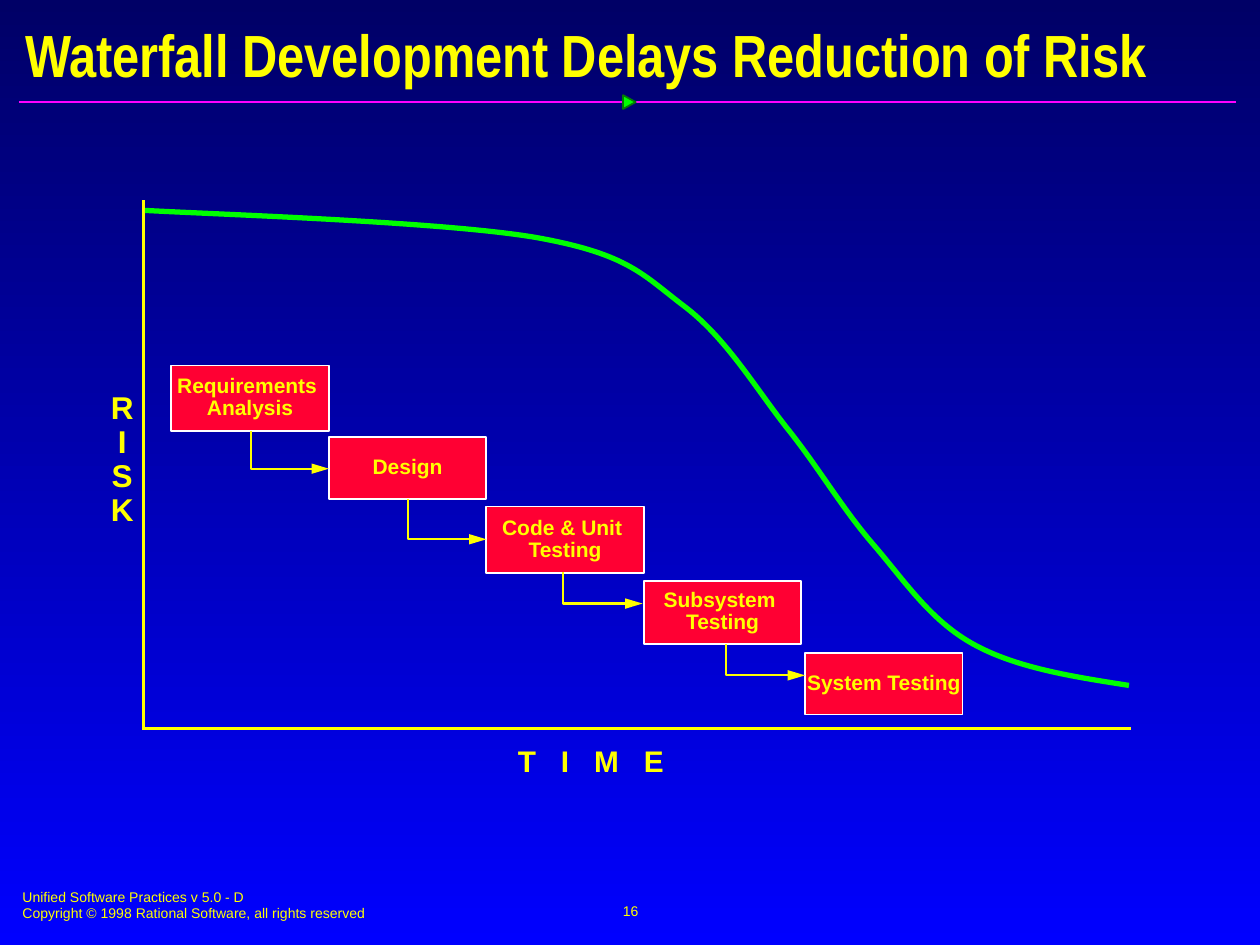
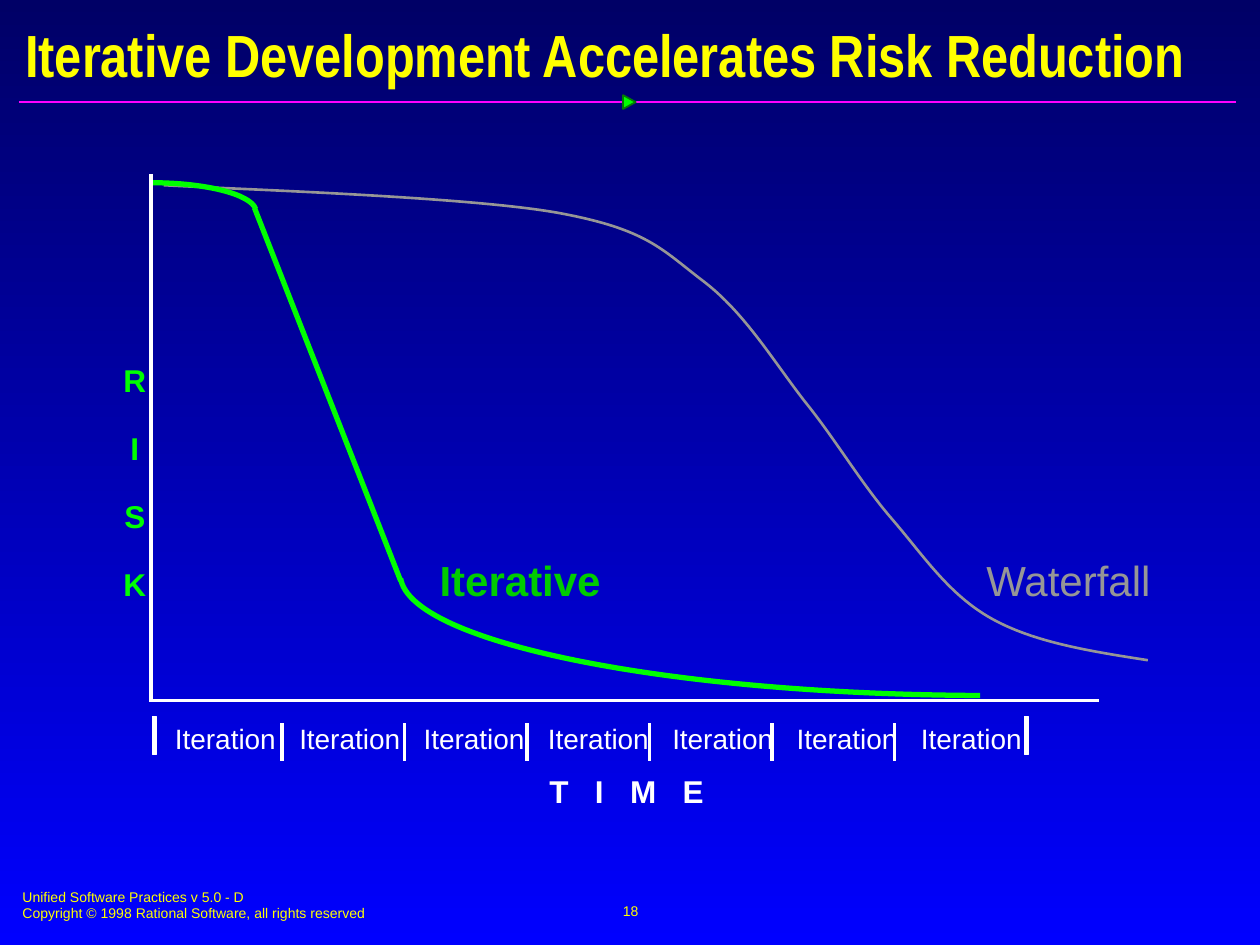
from pptx import Presentation
from pptx.dml.color import RGBColor
from pptx.enum.shapes import MSO_CONNECTOR, MSO_SHAPE
from pptx.enum.text import MSO_ANCHOR, MSO_AUTO_SIZE, PP_ALIGN
from pptx.oxml.ns import qn
from pptx.util import Inches, Pt
from lxml import etree

# Slide size and a square grid of 10 columns by 7.5 rows
WIDE, HIGH = Inches(10), Inches(7.5)
COLS = 10
CELL = WIDE / COLS

# Colours
NAVY = RGBColor(0x00, 0x00, 0x66)
BLUE = RGBColor(0x00, 0x00, 0xFF)
YELLOW = RGBColor(0xFF, 0xFF, 0x00)
PINK = RGBColor(0xFF, 0x01, 0xFF)
GREEN = RGBColor(0x00, 0xFF, 0x00)
LEAF = RGBColor(0x00, 0xCC, 0x00)
MOSS = RGBColor(0x03, 0x7C, 0x03)
RED = RGBColor(0xFF, 0x00, 0x33)
WHITE = RGBColor(0xFF, 0xFF, 0xFF)
GREY = RGBColor(0x96, 0x96, 0x96)

FOOTER = "Unified Software Practices v 5.0 - D\nCopyright © 1998 Rational Software, all rights reserved"

# Phases: label, left, top, height
PHASES = [
    ("Requirements \nAnalysis", 1.36, 2.9, 0.52),
    ("Design", 2.61, 3.47, 0.49),
    ("Code & Unit \nTesting", 3.86, 4.02, 0.53),
    ("Subsystem \nTesting", 5.11, 4.61, 0.5),
    ("System Testing", 6.39, 5.18, 0.49),
]
PHASE_W = 1.25
# Arrows between phases: start, end
ARROWS = [
    ((1.99, 3.42), (2.61, 3.72)),
    ((3.24, 3.96), (3.86, 4.28)),
    ((4.47, 4.54), (5.1, 4.79)),
    ((5.76, 5.11), (6.39, 5.36)),
]

# Bezier knots: a start, then two handles and an end for each bend
FALL = [
    (1.15, 1.67), (1.67, 1.7), (3.56, 1.76), (4.28, 1.89),
    (4.99, 2.02), (5.1, 2.18), (5.43, 2.43),
    (5.76, 2.68), (5.99, 3.07), (6.24, 3.39),
    (6.49, 3.7), (6.68, 4.03), (6.93, 4.32),
    (7.18, 4.61), (7.38, 4.92), (7.72, 5.11),
    (8.06, 5.3), (8.51, 5.37), (8.96, 5.44),
]
CREST = [(1.2, 1.45), (1.63, 1.45), (1.99, 1.54), (2.03, 1.66)]
TAIL = [(7.78, 5.52), (5.29, 5.51), (3.26, 5.1), (3.18, 4.59)]


def grid(*cells):
    """Turn grid cells into slide lengths."""
    return [round(n * CELL) for n in cells]


def write(shape, text, size=12, color=YELLOW, font="Arial", bold=False,
          align=PP_ALIGN.LEFT, anchor=MSO_ANCHOR.TOP, inset=(0.09, 0.04),
          wrap=False, lead=None, gap=0, track=0):
    """Fill a shape with one paragraph for each line of text."""
    frame = shape.text_frame
    frame.auto_size = MSO_AUTO_SIZE.NONE
    frame.word_wrap = wrap
    frame.vertical_anchor = anchor
    frame.margin_left, frame.margin_top = grid(*inset)
    frame.margin_right, frame.margin_bottom = grid(*inset)
    for i, line in enumerate(text.split("\n")):
        para = frame.add_paragraph() if i else frame.paragraphs[0]
        para.alignment = align
        para.line_spacing = lead
        para.space_before = Pt(gap if i else 0)
        run = para.add_run()
        run.text = line
        run.font.name, run.font.size = font, Pt(size)
        run.font.bold = bold
        run.font.color.rgb = color
        if track:
            run.font._element.set("spc", str(round(track * 100)))


def label(slide, spot, text, **style):
    box = slide.shapes.add_textbox(*grid(*spot))
    write(box, text, **style)
    return box


def block(slide, kind, spot, fill, edge, width=1):
    shape = slide.shapes.add_shape(kind, *grid(*spot))
    shape.shadow.inherit = False
    shape.fill.solid()
    shape.fill.fore_color.rgb = fill
    shape.line.color.rgb = edge
    shape.line.width = Pt(width)
    return shape


def line(slide, start, end, color, width, kind=MSO_CONNECTOR.STRAIGHT):
    link = slide.shapes.add_connector(kind, *grid(*start, *end))
    link.line.color.rgb = color
    link.line.width = Pt(width)
    etree.SubElement(link._element.spPr, qn("a:effectLst"))
    return link


def elbow(slide, start, end):
    """Draw an arrow that goes down, then right."""
    (x1, y1), (x2, y2) = start, end
    mid_x, mid_y = (x1 + x2) / 2, (y1 + y2) / 2
    half_w, half_h = (x2 - x1) / 2, (y2 - y1) / 2
    # The frame is turned a quarter, so its width and height swap
    link = line(slide, (mid_x + half_h, mid_y - half_w),
                (mid_x - half_h, mid_y + half_w), YELLOW, 1.25, MSO_CONNECTOR.ELBOW)
    props = link._element.spPr
    props.find(qn("a:xfrm")).set("rot", "16200000")
    props.find(qn("a:prstGeom")).set("prst", "bentConnector2")
    etree.SubElement(props.find(qn("a:ln")), qn("a:tailEnd"),
                     type="triangle", w="med", len="lg")


def curve(slide, knots, color, width, shift=(0, 0)):
    """Draw a smooth open line through Bezier knots."""
    dots = [grid(x + shift[0], y + shift[1]) for x, y in knots]
    form = slide.shapes.build_freeform(*dots[0])
    form.add_line_segments(dots[1:], close=False)
    shape = form.convert_to_shape()
    shape.shadow.inherit = False
    shape.fill.background()
    shape.line.color.rgb = color
    shape.line.width = Pt(width)
    # Join each three straight steps into one Bezier bend
    steps = list(shape._element.iter(qn("a:lnTo")))
    for k in range(0, len(steps), 3):
        bend = etree.Element(qn("a:cubicBezTo"))
        steps[k].addprevious(bend)
        for step in steps[k:k + 3]:
            bend.append(step[0])
            step.getparent().remove(step)


def paint(deck):
    """Give the master its blue gradient."""
    fill = deck.slide_master.background.fill
    fill.gradient()
    fill.gradient_angle = 270
    for stop, color in zip(fill.gradient_stops, (NAVY, BLUE)):
        stop.color.rgb = color


def dress(slide, layout):
    """Place the rule, its mark and the footer on the layout."""
    for spare in list(layout.placeholders)[1:]:
        spare._element.getparent().remove(spare._element)
    rule = line(slide, (0.15, 0.81), (9.81, 0.81), PINK, 1)
    mark = block(slide, MSO_SHAPE.ISOSCELES_TRIANGLE, (4.94, 0.76, 0.11, 0.1), GREEN, MOSS)
    mark.rotation = 90
    foot = label(slide, (0.08, 7, 5.1, 0.37), FOOTER, size=8, inset=(0.1, 0.05), wrap=True)
    tree = layout.placeholders[0]._element.getparent()
    for part in (rule, mark, foot):
        tree.append(part._element)


def page(deck, title, number):
    """Add a slide with its title and number."""
    layout = deck.slide_layouts[5]
    slide = deck.slides.add_slide(layout)
    if len(deck.slides) == 1:
        dress(slide, layout)
    head = slide.shapes.title
    head.left, head.top, head.width, head.height = grid(0.1, 0.14, 9.84, 0.58)
    write(head, title, size=34, font="Arial Narrow", bold=True,
          anchor=MSO_ANCHOR.MIDDLE, inset=(0.1, 0.05), wrap=True)
    label(slide, (3.42, 6.98, 3.17, 0.5), str(number), size=8, inset=(0.1, 0.05),
          align=PP_ALIGN.CENTER, anchor=MSO_ANCHOR.MIDDLE)
    return slide


def axes(slide, corner, top, right, color):
    x, y = corner
    line(slide, (x, top), (x, y + 0.01), color, 2)
    line(slide, (x, y), (right, y), color, 2)


def names(slide, risk, time, risk_color, time_color, size, gap=0):
    """Name the two axes."""
    label(slide, risk, "R\nI\nS\nK", size=18, color=risk_color, bold=True,
          align=PP_ALIGN.CENTER, lead=0.9, gap=gap)
    label(slide, time, "T I M E", size=size, color=time_color, bold=True,
          lead=0.9, track=size * 0.28)


def cascade(deck):
    slide = page(deck, "Waterfall Development Delays Reduction of Risk", 16)
    axes(slide, (1.14, 5.78), 1.59, 8.98, YELLOW)
    names(slide, (0.79, 3.07, 0.36, 1.17), (4.02, 5.89, 1.33, 0.34), YELLOW, YELLOW, 17)
    curve(slide, FALL, GREEN, 3)
    for text, left, top, high in PHASES:
        box = block(slide, MSO_SHAPE.RECTANGLE, (left, top, PHASE_W, high), RED, WHITE)
        write(box, text, bold=True, align=PP_ALIGN.CENTER,
              anchor=MSO_ANCHOR.MIDDLE, lead=0.87)
    for start, end in ARROWS:
        elbow(slide, start, end)


def cycles(deck):
    slide = page(deck, "Iterative Development Accelerates Risk Reduction", 18)
    # Two risk curves and their labels
    curve(slide, FALL, GREY, 1.5, shift=(0.15, -0.2))
    label(slide, (7.73, 4.35, 1.51, 0.5), "Waterfall", size=24, color=GREY, inset=(0.1, 0.05))
    curve(slide, CREST, GREEN, 3)
    line(slide, (2.02, 1.65), (3.18, 4.61), GREEN, 3)
    curve(slide, TAIL, GREEN, 3)
    label(slide, (3.39, 4.35, 1.48, 0.5), "Iterative", size=24, color=LEAF,
          bold=True, inset=(0.1, 0.05))
    axes(slide, (1.2, 5.56), 1.38, 8.72, WHITE)
    names(slide, (0.89, 2.86, 0.36, 1.98), (4.27, 6.12, 1.4, 0.36), GREEN, WHITE, 18, gap=19.4)
    # Time scale: end bars, ticks and seven iterations
    for left in (1.21, 8.13):
        block(slide, MSO_SHAPE.RECTANGLE, (left, 5.69, 0.03, 0.3), WHITE, WHITE, 0.5)
    for i in range(6):
        tick = 2.24 + i * 4.86 / 5
        line(slide, (tick, 5.74), (tick, 6.04), WHITE, 0)
    for i in range(7):
        label(slide, (1.33 + i * 5.92 / 6, 5.76, 0.86, 0.24), "Iteration", size=16,
              color=WHITE, align=PP_ALIGN.RIGHT, inset=(0, 0), lead=0.9)


def main():
    deck = Presentation()
    deck.slide_width, deck.slide_height = WIDE, HIGH
    paint(deck)
    cascade(deck)
    cycles(deck)
    deck.save("out.pptx")


if __name__ == "__main__":
    main()
